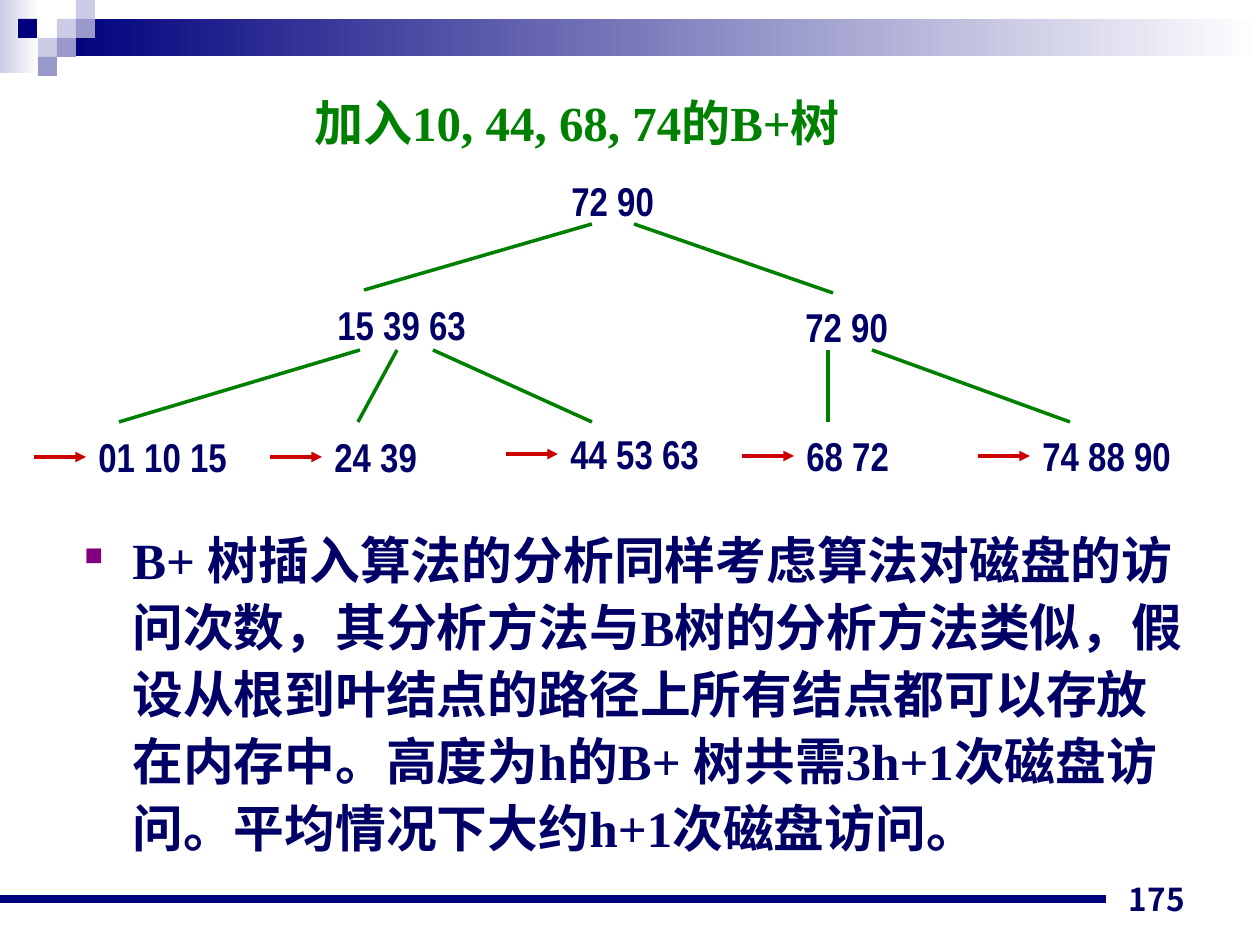
from lxml.etree import SubElement
from pptx import Presentation
from pptx.dml.color import RGBColor
from pptx.enum.shapes import MSO_CONNECTOR, MSO_SHAPE
from pptx.enum.text import MSO_ANCHOR, PP_ALIGN
from pptx.oxml.ns import qn
from pptx.util import Emu, Pt

# Content
TITLE = "加入10, 44, 68, 74的B+树"
ANALYSIS = (
    "B+ 树插入算法的分析同样考虑算法对磁盘的访问次数，其分析方法与B树的分析方法类似，"
    "假设从根到叶结点的路径上所有结点都可以存放在内存中。高度为h的B+ 树共需3h+1次磁盘访问。"
    "平均情况下大约h+1次磁盘访问。"
)
PAGE_NUMBER = "175"
INNER_NODES = [("72 90", 559, 170), ("15 39 63", 325, 294), ("72 90", 793, 296)]
LEAVES = [("01 10 15", 426), ("24 39", 426), ("44 53 63", 423),
          ("68 72", 425), ("74 88 90", 425)]
# Branches of each level: top y, then (top x, bottom x, bottom y)
BRANCHES = [
    (224, [(592, 364, 290), (634, 833, 293)]),
    (350, [(360, 119, 422), (397, 358, 422), (433, 592, 422),
           (828, 828, 422), (872, 1070, 422)]),
]
# Corner mosaic: x, y, colour
TILES = [(57, 19, "pale"), (76, 0, "pale"), (76, 19, "mid"), (38, 38, "pale"),
         (18, 19, "navy"), (57, 38, "mid"), (38, 57, "mid")]

COLORS = {"navy": "00007D", "pale": "CCCCE6", "mid": "9999CC", "white": "FFFFFF",
          "text": "000066", "green": "008000", "red": "CC0000", "bullet": "800080"}

# Layout, in px
PX = 914400 / 126
TILE = 19
NODE_W, NODE_H = 200, 87
LEAF_LEFT, LEAF_PITCH = 86, 236
ARROW_LENGTH, ARROW_DROP = 52, 31


def px(*lengths):
    return [Emu(round(length * PX)) for length in lengths]


def rgb(name):
    return RGBColor.from_string(COLORS[name])


def add_rect(x, y, w, h, start, end=None):
    rect = slide.shapes.add_shape(MSO_SHAPE.RECTANGLE, *px(x, y, w, h))
    rect.shadow.inherit = False
    rect.line.fill.background()
    if end:
        rect.fill.gradient()
        rect.fill.gradient_angle = 0
        for stop, name, position in zip(rect.fill.gradient_stops, (start, end), (0, 1)):
            stop.color.rgb = rgb(name)
            stop.position = position
    else:
        rect.fill.solid()
        rect.fill.fore_color.rgb = rgb(start)


def add_line(x1, y1, x2, y2, color, width=2, arrow=False):
    line = slide.shapes.add_connector(MSO_CONNECTOR.STRAIGHT, *px(x1, y1, x2, y2))
    line.line.color.rgb = rgb(color)
    line.line.width = Pt(width)
    if arrow:
        SubElement(line.line._get_or_add_ln(), qn("a:tailEnd"), type="triangle")
    SubElement(line._element.spPr, qn("a:effectLst"))


def add_text(text, x, y, w, h, size, font="Times New Roman", color="text",
             align=PP_ALIGN.JUSTIFY, anchor=MSO_ANCHOR.TOP, bullet=False):
    frame = slide.shapes.add_textbox(*px(x, y, w, h)).text_frame
    frame.word_wrap = True
    frame.vertical_anchor = anchor
    paragraph = frame.paragraphs[0]
    paragraph.text = text
    paragraph.alignment = align
    if bullet:
        paragraph.line_spacing = 1.1
        props = paragraph._p.get_or_add_pPr()
        indent = px(48)[0]
        props.set("marL", str(indent))
        props.set("indent", str(-indent))
        bullet_color = SubElement(props, qn("a:buClr"))
        SubElement(bullet_color, qn("a:srgbClr"), val=COLORS["bullet"])
        SubElement(props, qn("a:buSzPct"), val="50000")
        SubElement(props, qn("a:buChar"), char="■")
    paragraph.font.size = Pt(size)
    paragraph.font.name = font
    paragraph.font.bold = True
    paragraph.font.color.rgb = rgb(color)


def add_node(keys, x, y):
    add_text(keys, x, y, NODE_W, NODE_H, 23, "Arial Narrow")


prs = Presentation()
prs.slide_width, prs.slide_height = px(1260, 945)
slide = prs.slides.add_slide(prs.slide_layouts[6])

# Header band and corner mosaic
add_rect(0, 0, 39, 73, "pale", "white")
add_rect(57, 19, 1203, 37, "navy", "white")
for x, y, color in TILES:
    add_rect(x, y, TILE, TILE, color)

# Footer rule and page number
add_line(0, 899, 1106, 899, "navy", 4.5)
add_text(PAGE_NUMBER, 903, 861, 294, 63, 18, "Noto Sans CJK JP",
         align=PP_ALIGN.RIGHT, anchor=MSO_ANCHOR.BOTTOM)

# Title and analysis
add_text(TITLE, 302, 86, 630, 69, 28, color="green")
add_text(ANALYSIS, 72, 517, 1134, 348, 29, align=PP_ALIGN.LEFT, bullet=True)

# Tree
for top, ends in BRANCHES:
    for x1, x2, bottom in ends:
        add_line(x1, top, x2, bottom, "green")
for keys, x, y in INNER_NODES:
    add_node(keys, x, y)
for i, (keys, y) in enumerate(LEAVES):
    x = LEAF_LEFT + i * LEAF_PITCH
    add_node(keys, x, y)
    add_line(x - ARROW_LENGTH, y + ARROW_DROP, x, y + ARROW_DROP, "red", arrow=True)

prs.save("out.pptx")
